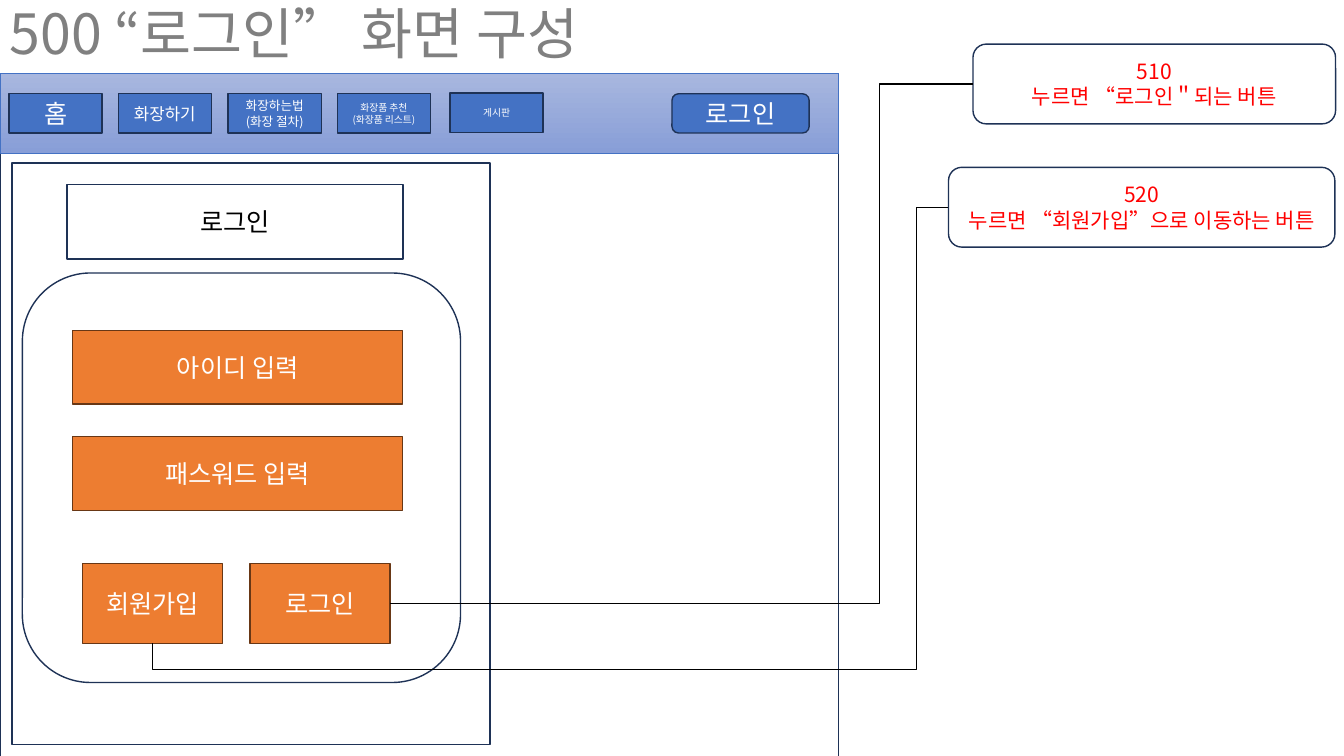
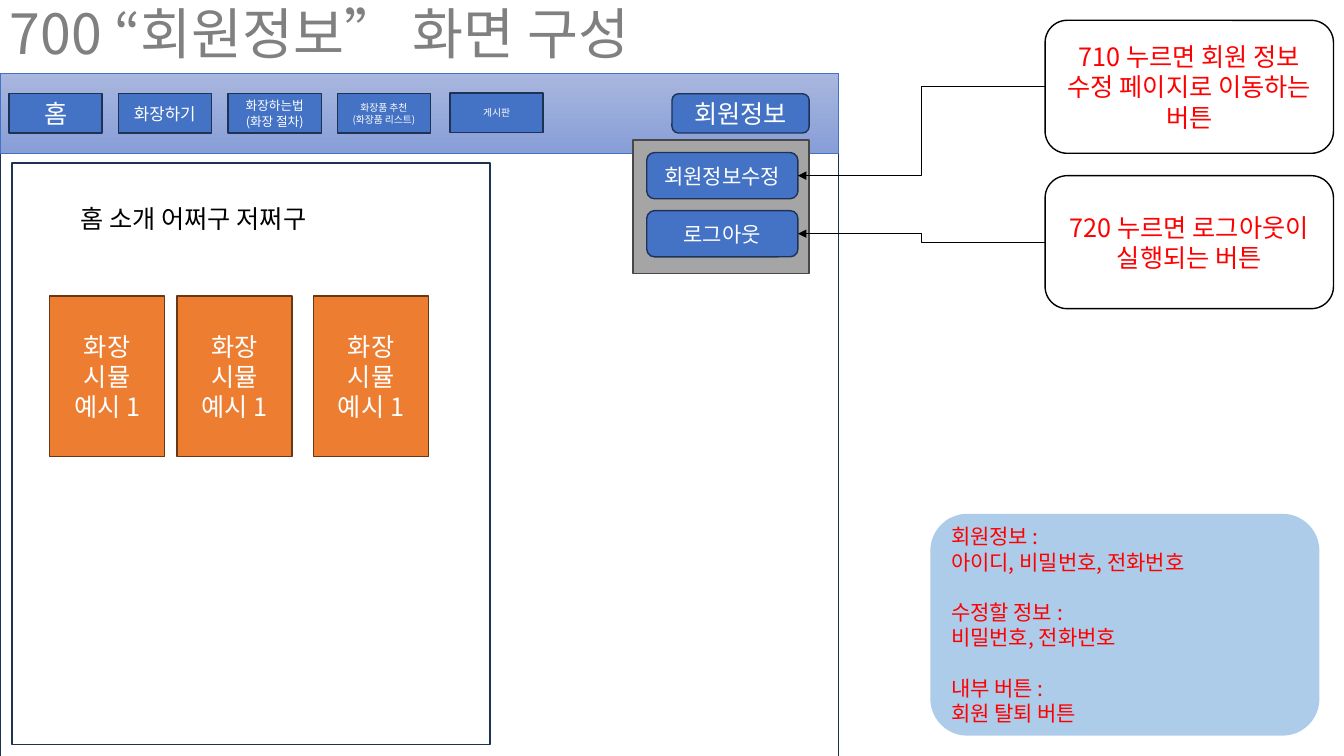
from lxml import etree
from pptx import Presentation
from pptx.dml.color import RGBColor
from pptx.enum import shapes, text
from pptx.oxml import ns
from pptx.util import Pt

FONT = "Noto Sans CJK KR"
WHITE = RGBColor(0xFF, 0xFF, 0xFF)
BLACK = RGBColor(0, 0, 0)
RED = RGBColor(0xFF, 0, 0)
GRAY = RGBColor(0x80, 0x80, 0x80)
NAVY = RGBColor(0x1E, 0x32, 0x56)
BLUE = RGBColor(0x44, 0x72, 0xC4)
ORANGE = RGBColor(0xED, 0x7D, 0x31)
BROWN = RGBColor(0x68, 0x37, 0x15)
SILVER = RGBColor(0xA5, 0xA5, 0xA5)
CHARCOAL = RGBColor(0x48, 0x48, 0x48)
SKY = RGBColor(0x5B, 0x9B, 0xD5)
BAND_TOP = RGBColor(0xA8, 0xB7, 0xDF)
BAND_BOTTOM = RGBColor(0x88, 0x9E, 0xD7)

RECT = shapes.MSO_SHAPE.RECTANGLE
ROUND = shapes.MSO_SHAPE.ROUNDED_RECTANGLE
CENTER = text.PP_ALIGN.CENTER
LEFT = text.PP_ALIGN.LEFT
SITE_LEFT, SITE_BOTTOM, SITE_RIGHT = 1, 2, 3

NAV_BUTTONS = [
    (6.5, 67, "홈", 18),
    (84.5, 67, "화장하기", 12),
    (163, 67, "화장하는법\v(화장 절차)", 9),
    (241, 67, "화장품 추천\v(화장품 리스트)", 7),
    (321.5, 66.5, "게시판", 7),
]


def add_xml(parent, tag, **attributes):
    return etree.SubElement(parent, ns.qn(tag), attributes)


class Wireframe:
    def __init__(self):
        self.deck = Presentation()
        self.deck.slide_width, self.deck.slide_height = Pt(960), Pt(540)
        self.page = None

    def set_text(self, box, content, size, color, align=CENTER, gap=0, spacing=None):
        frame = box.text_frame
        frame.word_wrap = True
        frame.text = content
        for index, para in enumerate(frame.paragraphs):
            para.alignment = align
            para.line_spacing = spacing
            para.space_before = Pt(gap if index else 0)
            for span in para.runs:
                span.font.size = Pt(size)
                span.font.color.rgb = color
                span.font.name = FONT
                add_xml(span.font._element, "a:ea", typeface=FONT)

    def label(self, x, y, width, height, content, size, color, anchor, spacing=None):
        box = self.page.shapes.add_textbox(Pt(x), Pt(y), Pt(width), Pt(height))
        box.text_frame.vertical_anchor = anchor
        self.set_text(box, content, size, color, LEFT, spacing=spacing)

    def box(self, x, y, width, height, kind=RECT, fill=None, line=NAVY, weight=1):
        box = self.page.shapes.add_shape(kind, Pt(x), Pt(y), Pt(width), Pt(height))
        box.shadow.inherit = False
        if fill is None:
            box.fill.background()
        else:
            box.fill.solid()
            box.fill.fore_color.rgb = fill
        if line is None:
            box.line.fill.background()
        else:
            box.line.color.rgb = line
            box.line.width = Pt(weight)
        box.text_frame.vertical_anchor = text.MSO_ANCHOR.MIDDLE
        return box

    def button(self, x, y, width, height, content, size=18, kind=RECT):
        button = self.box(x, y, width, height, kind, BLUE)
        self.set_text(button, content, size, WHITE)
        return button

    def tile(self, x, y, width, height, content):
        tile = self.box(x, y, width, height, RECT, ORANGE, BROWN)
        self.set_text(tile, content, 18, WHITE)
        return tile

    def callout(self, x, y, width, height, content, size, fill=None, line=NAVY):
        callout = self.box(x, y, width, height, ROUND, fill, line)
        self.set_text(callout, content, size, RED)
        return callout

    def band(self, x, y, width, height):
        band = self.box(x, y, width, height, line=BLUE, weight=0.5)
        band.fill.gradient()
        band.fill.gradient_angle = 270
        for stop, color in zip(band.fill.gradient_stops, (BAND_TOP, BAND_BOTTOM)):
            stop.color.rgb = color

    def note(self, x, y, width, height, content):
        note = self.box(x, y, width, height, ROUND, SKY, None)
        tint = note._element.spPr.find(".//" + ns.qn("a:srgbClr"))
        add_xml(tint, "a:alpha", val="50000")
        self.set_text(note, content, 15, RED, LEFT, gap=18)

    def elbow(self, source, target, site=SITE_RIGHT, bends=(0.5,), weight=1, arrow=False):
        link = self.page.shapes.add_connector(
            shapes.MSO_CONNECTOR.ELBOW, source.left, source.top, target.left, target.top)
        link.begin_connect(source, SITE_LEFT)
        link.end_connect(target, site)
        link.line.color.rgb = BLACK
        link.line.width = Pt(weight)
        properties = link._element.spPr
        if arrow:
            add_xml(properties.find(ns.qn("a:ln")), "a:tailEnd", type="triangle")
        add_xml(properties, "a:effectLst")
        geometry = properties.find(ns.qn("a:prstGeom"))
        geometry.set("prst", f"bentConnector{len(bends) + 2}")
        guides = geometry.find(ns.qn("a:avLst"))
        if guides is None:
            guides = add_xml(geometry, "a:avLst")
        for number, bend in enumerate(bends, 1):
            add_xml(guides, "a:gd", name=f"adj{number}", fmla=f"val {round(bend * 100000)}")

    def start(self, title, account):
        self.page = self.deck.slides.add_slide(self.deck.slide_layouts[6])
        self.box(0, 52.5, 599, 495.5)
        self.band(0, 52.5, 599, 57)
        for x, y, content, size in NAV_BUTTONS:
            self.button(x, y, 66.5, 28, content, size)
        self.button(480, 67, 98, 28, account, kind=ROUND)
        self.box(8.5, 116.5, 341.5, 415.5)
        self.label(0, 0, 828, 52.5, title, 39.6, GRAY, text.MSO_ANCHOR.MIDDLE, 0.9)


def login_page(wire):
    wire.start("500 “로그인” 화면 구성", "로그인")
    heading = wire.box(48, 132, 240, 53)
    wire.set_text(heading, "로그인", 18, BLACK)
    wire.box(16, 195, 313, 292.5, ROUND)
    for y, content in ((236, "아이디 입력"), (312, "패스워드 입력")):
        wire.tile(52, y, 235.5, 52.5, content)
    join, login = [wire.tile(x, 402.5, 100, 57, content)
                   for x, content in ((59, "회원가입"), (178.5, "로그인"))]
    login_note = wire.callout(695, 31.5, 259, 57, "510\v누르면 “로그인＂되는 버튼", 15)
    join_note = wire.callout(677.5, 119.5, 276, 57,
                             "520\v누르면 “회원가입”으로 이동하는 버튼", 15)
    wire.elbow(login_note, login, bends=(0.16,))
    wire.elbow(join_note, join, SITE_BOTTOM, bends=(0.04, 1.06))


def member_page(wire):
    wire.start("700 “회원정보” 화면 구성", "회원정보")
    for x in (35.5, 126.5, 224):
        wire.tile(x, 211.5, 82, 114.5, "화장\v시뮬\v예시 1")
    wire.label(50.5, 142, 240, 29, "홈 소개 어쩌구 저쩌구", 18, BLACK, text.MSO_ANCHOR.TOP)
    wire.box(452, 100, 126, 95.5, fill=SILVER, line=CHARCOAL)
    entries = [
        ("회원정보수정", "710 누르면 회원 정보 수정 페이지로 이동하는 버튼"),
        ("로그아웃", "720 누르면 로그아웃이 실행되는 버튼"),
    ]
    for row, (name, hint) in enumerate(entries):
        entry = wire.button(462, 109 + 41.5 * row, 108, 33, name, 15, ROUND)
        callout = wire.callout(746.5, 14.5 + 111 * row, 206, 95, hint, 18, WHITE, BLACK)
        wire.elbow(callout, entry, weight=0.5, arrow=True)
    wire.note(664.5, 367, 278, 158.5,
              "회원정보 :\v아이디, 비밀번호, 전화번호\n"
              "수정할 정보 :\v비밀번호, 전화번호\n"
              "내부 버튼 :\v회원 탈퇴 버튼")


def main():
    wire = Wireframe()
    login_page(wire)
    member_page(wire)
    wire.deck.save("out.pptx")


if __name__ == "__main__":
    main()
